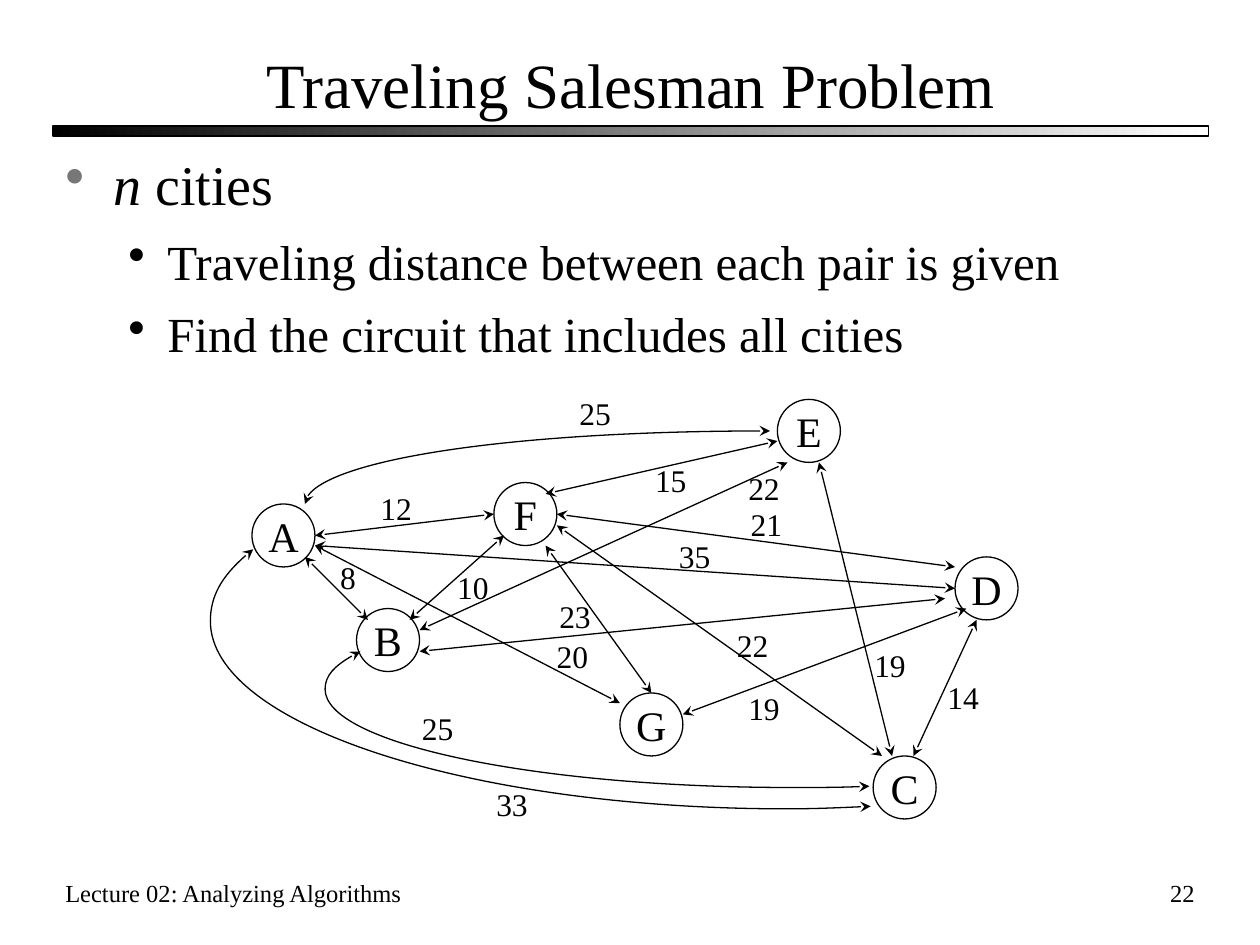
from dataclasses import dataclass
from typing import Any, Optional

import pptx
import pptx.dml.color
import pptx.enum.shapes
import pptx.enum.text
import pptx.oxml.ns
import pptx.oxml.xmlchemy
import pptx.util
from pptx.util import Inches

Point = tuple[float, float]
ALIGN = pptx.enum.text.PP_ALIGN
ANCHOR = pptx.enum.text.MSO_ANCHOR
qn = pptx.oxml.ns.qn


@dataclass(frozen=True)
class Theme:
    font: str = "Times New Roman"
    ink: str = "000000"
    paper: str = "FFFFFF"
    bullet: str = "777777"
    title: int = 36
    topic: int = 32
    detail: int = 28
    city: int = 24
    distance: int = 18
    footer: int = 14
    line: float = 0.75


@dataclass(frozen=True)
class Road:
    """Two-way road; bends holds three Bezier points for each curved segment."""
    start: Point
    end: Point
    distance: str = ""
    label_at: Optional[Point] = None
    bends: tuple[Point, ...] = ()


THEME = Theme()
CITY_SIZE = 0.5
CITIES: dict[str, Point] = {
    "A": (2, 4), "C": (6.93, 6), "D": (7.58, 4.42), "G": (4.92, 5.5),
    "B": (2.83, 4.83), "E": (6.17, 3.17), "F": (3.92, 3.83),
}
ROADS = [
    Road((2.42, 4.42), (2.92, 4.92), "8", (2.6, 4.38)),
    Road((2.5, 4.25), (3.92, 4.08), "12", (2.92, 3.83)),
    Road((2.5, 4.33), (4.92, 5.58), "20", (4.32, 5.01)),
    Road((6.11, 3.42), (2.42, 4), "25", (4.5, 3.08),
         ((6.1, 3.42), (6.09, 3.42), (6.08, 3.42), (4.06, 3.42), (2.42, 3.68))),
    Road((2.5, 4.33), (7.58, 4.67), "35", (5.29, 4.21)),
    Road((6.91, 6.4), (2.01, 4.36), "33", (3.84, 6.18),
         ((6.69, 6.41), (6.46, 6.42), (6.24, 6.42), (3.71, 6.42), (1.67, 5.75),
          (1.67, 4.93), (1.67, 4.73), (1.78, 4.54))),
    Road((4, 4.25), (3.25, 4.92), "10", (3.53, 4.46)),
    Road((4.42, 4.17), (7, 6), "22", (5.75, 4.92)),
    Road((4.42, 4.08), (7.58, 4.5), "21", (5.86, 3.96)),
    Road((4.33, 3.92), (6.17, 3.5), "15", (5.1, 3.61)),
    Road((6.9, 6.24), (2.86, 5.17), "25", (3.25, 5.58),
         ((6.69, 6.25), (6.49, 6.25), (6.28, 6.25), (4.24, 6.25), (2.58, 5.9),
          (2.58, 5.47), (2.58, 5.36), (2.68, 5.26))),
    Road((3.33, 5.17), (7.5, 4.75), "23", (4.34, 4.69)),
    Road((3.33, 5), (6.25, 3.67), "22", (5.84, 3.67)),
    Road((7.75, 4.92), (7.25, 6), "14", (7.42, 5.33)),
    Road((6.5, 3.67), (7.08, 6), "19", (6.84, 5.08)),
    Road((5.42, 5.67), (7.67, 4.83), "19", (5.84, 5.42)),
    Road((4.33, 4.33), (5.17, 5.5)),
]


def rgb(value: str) -> Any:
    return pptx.dml.color.RGBColor.from_string(value)


def set_font(font: Any, size: int) -> None:
    font.name = THEME.font
    font.size = pptx.util.Pt(size)
    font.color.rgb = rgb(THEME.ink)


def set_line(line: Any) -> None:
    line.color.rgb = rgb(THEME.ink)
    line.width = pptx.util.Pt(THEME.line)


def add_child(parent: Any, tag: str, **attributes: str) -> Any:
    child = parent.makeelement(qn(tag), attributes)
    parent.append(child)
    return child


def add_label(slide: Any, text: str, at: Point, size: Point, points: int,
              align: Any = ALIGN.LEFT, anchor: Any = ANCHOR.TOP, wrap: bool = True) -> None:
    box = slide.shapes.add_textbox(*map(Inches, at + size))
    frame = box.text_frame
    frame.text = text
    frame.word_wrap = wrap
    frame.vertical_anchor = anchor
    frame.paragraphs[0].alignment = align
    set_font(frame.paragraphs[0].runs[0].font, points)


def add_rule(slide: Any) -> None:
    rule = slide.shapes.add_shape(pptx.enum.shapes.MSO_SHAPE.RECTANGLE,
                                  Inches(0.42), Inches(1), Inches(9.17), Inches(0.08))
    rule.shadow.inherit = False
    rule.fill.gradient()
    rule.fill.gradient_angle = 0
    for stop, color in zip(rule.fill.gradient_stops, (THEME.ink, THEME.paper)):
        stop.color.rgb = rgb(color)
    set_line(rule.line)


def set_bullet(paragraph: Any, color: str, margin: float, hanging: float) -> None:
    properties = paragraph._p.get_or_add_pPr()
    properties.set("marL", str(Inches(margin)))
    properties.set("indent", str(-Inches(hanging)))
    add_child(add_child(properties, "a:buClr"), "a:srgbClr", val=color)
    add_child(properties, "a:buChar", char="•")


def add_body(slide: Any) -> None:
    frame = slide.shapes.add_textbox(
        Inches(0.42), Inches(1.08), Inches(9.17), Inches(2.25)).text_frame
    frame.word_wrap = True
    frame.margin_top = Inches(0.11)
    topic = frame.paragraphs[0]
    set_bullet(topic, THEME.bullet, 0.38, 0.38)
    for text, italic in (("n ", True), ("cities", False)):
        run = topic.add_run()
        run.text = text
        set_font(run.font, THEME.topic)
        run.font.italic = italic
    for text in ("Traveling distance between each pair is given",
                 "Find the circuit that includes all cities"):
        detail = frame.add_paragraph()
        detail.text = text
        detail.level = 1
        detail.space_before = pptx.util.Pt(8)
        set_bullet(detail, THEME.ink, 0.81, 0.31)
        set_font(detail.runs[0].font, THEME.detail)


def add_city(slide: Any, name: str, at: Point) -> None:
    city = slide.shapes.add_shape(pptx.enum.shapes.MSO_SHAPE.OVAL,
                                  *map(Inches, at + (CITY_SIZE, CITY_SIZE)))
    city.shadow.inherit = False
    city.fill.background()
    set_line(city.line)
    frame = city.text_frame
    frame.text = name
    frame.word_wrap = False
    frame.vertical_anchor = ANCHOR.MIDDLE
    frame.paragraphs[0].alignment = ALIGN.CENTER
    set_font(frame.paragraphs[0].runs[0].font, THEME.city)


def add_curve(slide: Any, road: Road) -> Any:
    """Outline the Bezier points, then join every three into one curve."""
    builder = slide.shapes.build_freeform(*map(Inches, road.start))
    builder.add_line_segments(
        [(Inches(x), Inches(y)) for x, y in road.bends + (road.end,)], close=False)
    curve = builder.convert_to_shape()
    curve.fill.background()
    curve.shadow.inherit = False
    outline = next(curve._element.iter(qn("a:path")))
    steps = outline.findall(qn("a:lnTo"))
    for first in range(0, len(steps), 3):
        segment = add_child(outline, "a:cubicBezTo")
        for step in steps[first:first + 3]:
            segment.append(step[0])
            outline.remove(step)
    return curve


def add_road(slide: Any, road: Road) -> None:
    if road.bends:
        route = add_curve(slide, road)
    else:
        route = slide.shapes.add_connector(pptx.enum.shapes.MSO_CONNECTOR.STRAIGHT,
                                           *map(Inches, road.start + road.end))
    set_line(route.line)
    outline = route.line._get_or_add_ln()
    for tip in ("a:headEnd", "a:tailEnd"):
        add_child(outline, tip, type="stealth", w="med", len="med")
    if not road.bends:
        add_child(route._element.spPr, "a:effectLst")
    if road.label_at:
        width = 0.32 if len(road.distance) == 1 else 0.45
        add_label(slide, road.distance, road.label_at, (width, 0.4),
                  THEME.distance, wrap=False)


def main() -> None:
    deck = pptx.Presentation()
    deck.slide_width, deck.slide_height = Inches(10), Inches(7.5)
    slide = deck.slides.add_slide(deck.slide_layouts[6])
    add_rule(slide)
    add_label(slide, "Lecture 02: Analyzing Algorithms", (0.42, 6.92), (3.5, 0.5), THEME.footer)
    add_label(slide, "Traveling Salesman Problem", (0.42, 0.33), (9.17, 0.67),
              THEME.title, ALIGN.CENTER, ANCHOR.MIDDLE)
    add_body(slide)
    for name, at in CITIES.items():
        add_city(slide, name, at)
    for road in ROADS:
        add_road(slide, road)
    add_label(slide, "22", (7.5, 6.92), (2.08, 0.5), THEME.footer, ALIGN.RIGHT)
    deck.save("out.pptx")


if __name__ == "__main__":
    main()
